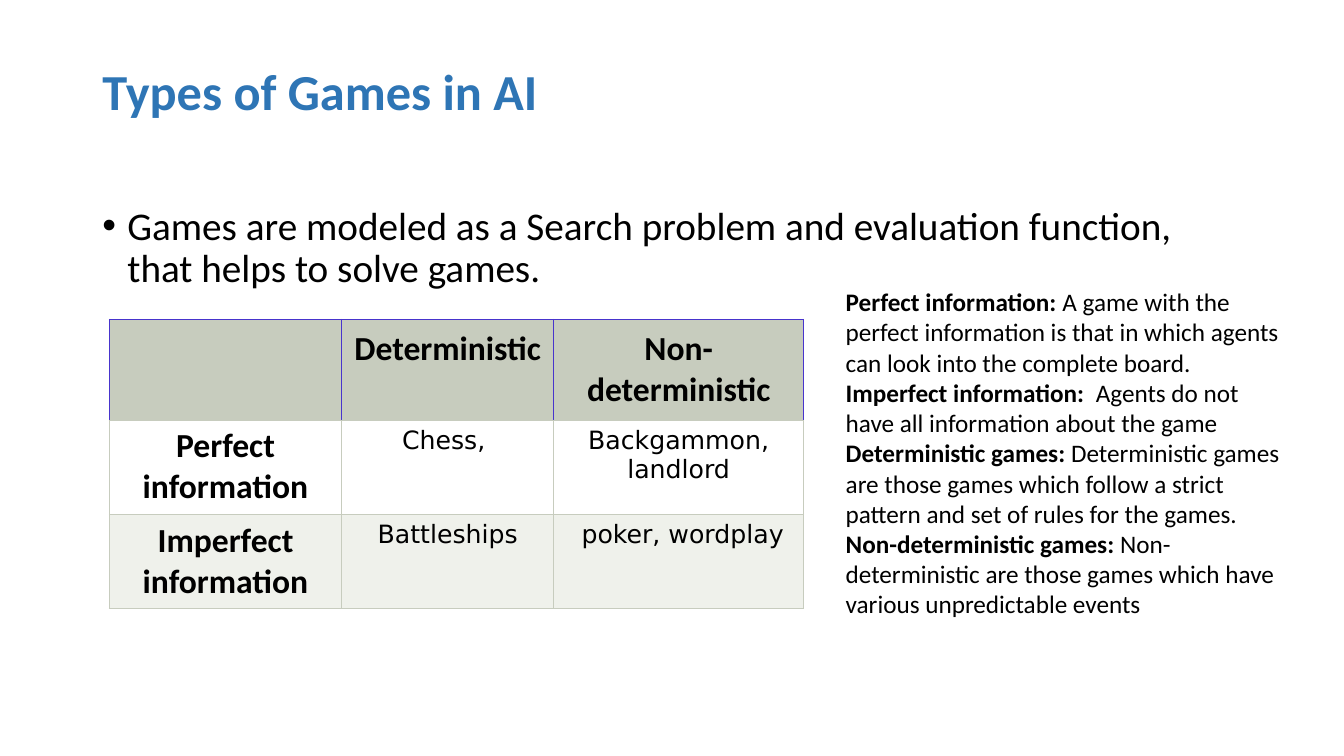
"""Build a slide on the types of games in AI."""
from dataclasses import dataclass

from lxml import etree
from pptx import Presentation
from pptx.dml.color import RGBColor
from pptx.enum.text import MSO_ANCHOR, MSO_AUTO_SIZE, PP_ALIGN
from pptx.oxml.ns import qn
from pptx.util import Inches, Pt

TOP = MSO_ANCHOR.TOP
NONE, GROW = MSO_AUTO_SIZE.NONE, MSO_AUTO_SIZE.SHAPE_TO_FIT_TEXT
LEFT, CENTER = PP_ALIGN.LEFT, PP_ALIGN.CENTER
UNIT = Inches(1 / 12)
COLS, ROWS = 160, 90
HUES = {"text": "000000", "title": "2E75B5", "head": "C7CCBE", "edge": "4834CD",
        "plain": "FFFFFF", "band": "EFF1EB"}
SANS, WIDE = "Calibri", "DejaVu Sans"


@dataclass(frozen=True)
class Box:
    """Place on the slide grid, in columns and rows."""
    x: float
    y: float
    w: float
    h: float

    def emu(self) -> list[int]:
        """Return the four lengths in EMU."""
        return [round(n * UNIT) for n in (self.x, self.y, self.w, self.h)]


@dataclass(frozen=True)
class Style:
    """Look of a run."""
    size: int
    bold: bool = False
    font: str = SANS
    hue: str = "text"


@dataclass(frozen=True)
class Row:
    """Table row with its look."""
    cells: tuple[str, str, str]
    high: float
    fill: str
    edge: str
    pad: float


TITLE = Style(36, True, hue="title")
LEAD, LABEL, GAME = Style(28), Style(24, True), Style(18, font=WIDE)
TERM, NOTE = Style(18, True), Style(18)

WIDTHS = (27.7, 25.2, 29.8)
GRID = (
    Row(("", "Deterministic", "Non-deterministic"), 12, "head", "edge", 0.09),
    Row(("Perfect information", "Chess, ", "Backgammon, landlord"), 11.2, "plain", "head", 0.06),
    Row(("Imperfect information", "Battleships", " poker, wordplay"), 11.2, "band", "head", 0.06),
)
NOTES = (
    (("Perfect information:", " A game with the perfect information is that in which "
      "agents can look into the complete board."),),
    (("Imperfect information:", "  Agents do not have all information about the game "),
     ("Deterministic games:", " Deterministic games are those games which follow a strict "
      "pattern and set of rules for the games.")),
    (("Non-deterministic games:", " Non-deterministic are those games which have various "
      "unpredictable events"),),
)


def write(para, text: str, style: Style) -> None:
    """Add one run to a paragraph."""
    run = para.add_run()
    run.text = text
    font = run.font
    font.name, font.size, font.bold = style.font, Pt(style.size), style.bold
    font.color.rgb = RGBColor.from_string(HUES[style.hue])


def frame(slide, box: Box, fit: MSO_AUTO_SIZE):
    """Add a wrapped text box and return its text frame."""
    area = slide.shapes.add_textbox(*box.emu()).text_frame
    area.word_wrap, area.auto_size = True, fit
    return area


def head(slide) -> None:
    """Place and fill the title."""
    shape = slide.shapes.title
    shape.left, shape.top, shape.width, shape.height = Box(11, 6.75, 138, 15.4).emu()
    area = shape.text_frame
    area.auto_size, area.vertical_anchor = NONE, TOP
    area.margin_top = Inches(0.1)
    para = area.paragraphs[0]
    para.alignment, para.line_spacing = LEFT, 0.9
    write(para, "Types of Games in AI", TITLE)


def lead(slide) -> None:
    """Add the bulleted statement."""
    para = frame(slide, Box(11, 24, 138, 57), NONE).paragraphs[0]
    props = para._p.get_or_add_pPr()
    props.set("marL", str(Inches(0.25)))
    props.set("indent", str(-Inches(0.25)))
    etree.SubElement(props, qn("a:buFont"), typeface="Arial")
    etree.SubElement(props, qn("a:buChar"), char="•")
    para.line_spacing = 0.9
    write(para, "Games are modeled as a Search problem and evaluation function, "
          "that helps to solve games.", LEAD)


def border(cell, side: str, hue: str) -> None:
    """Draw one side of a cell."""
    line = etree.SubElement(cell._tc.get_or_add_tcPr(), qn(f"a:ln{side}"), w=str(Pt(0.75)))
    fill = etree.SubElement(line, qn("a:solidFill"))
    etree.SubElement(fill, qn("a:srgbClr"), val=HUES[hue])


def dress(cell, row: Row, text: str, style: Style) -> None:
    """Fill, edge and label a cell."""
    for side in "LRTB":
        border(cell, side, "head" if side == "B" else row.edge)
    cell.fill.solid()
    cell.fill.fore_color.rgb = RGBColor.from_string(HUES[row.fill])
    pad = Inches(row.pad)
    cell.margin_left = cell.margin_right = cell.margin_top = cell.margin_bottom = pad
    if text:
        para = cell.text_frame.paragraphs[0]
        para.alignment = CENTER
        write(para, text, style)


def games(slide) -> None:
    """Add the table of games."""
    box = Box(13, 38, sum(WIDTHS), sum(row.high for row in GRID))
    table = slide.shapes.add_table(len(GRID), len(WIDTHS), *box.emu()).table
    table.first_row = table.horz_banding = False
    for col, wide in zip(table.columns, WIDTHS):
        col.width = round(wide * UNIT)
    for i, row in enumerate(GRID):
        table.rows[i].height = round(row.high * UNIT)
        for j, text in enumerate(row.cells):
            dress(table.cell(i, j), row, text, GAME if i and j else LABEL)


def notes(slide) -> None:
    """Add the terms and their meanings."""
    area = frame(slide, Box(99.5, 33.5, 54.2, 41.2), GROW)
    for i, pairs in enumerate(NOTES):
        para = area.add_paragraph() if i else area.paragraphs[0]
        for term, text in pairs:
            write(para, term, TERM)
            write(para, text, NOTE)


def main() -> None:
    """Build and save the deck."""
    deck = Presentation()
    deck.slide_width, deck.slide_height = COLS * UNIT, ROWS * UNIT
    slide = deck.slides.add_slide(deck.slide_layouts[5])
    for draw in (lead, head, games, notes):
        draw(slide)
    deck.save("out.pptx")


if __name__ == "__main__":
    main()
